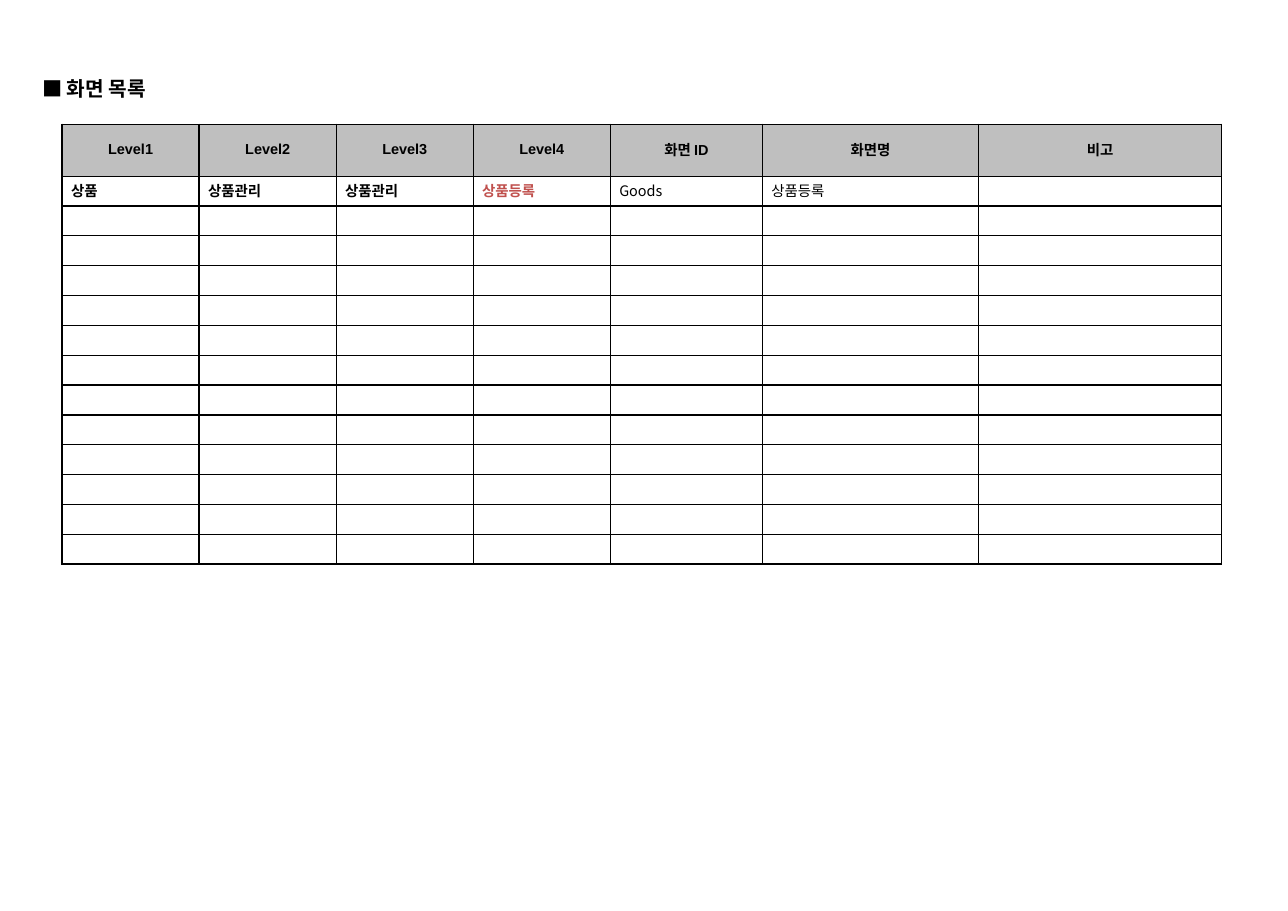
from lxml import etree
from pptx import Presentation
from pptx.dml.color import RGBColor
from pptx.enum.text import MSO_ANCHOR, MSO_AUTO_SIZE, PP_ALIGN
from pptx.oxml.ns import qn
from pptx.util import Pt

LEFT, CENTER = PP_ALIGN.LEFT, PP_ALIGN.CENTER
MIDDLE, NO_AUTOFIT = MSO_ANCHOR.MIDDLE, MSO_AUTO_SIZE.NONE
TITLE_ONLY = 5
KOREAN = "Noto Sans CJK KR"
COLORS = {"text": "000000", "accent": "C0504D", "header": "BFBFBF",
          "body": "FFFFFF", "border": "000000"}


def px(count):
    return count * 914400 // 104


def write(frame, text, size=10, font="Arial", color="text", bold=True, align=LEFT):
    paragraph = frame.paragraphs[0]
    paragraph.alignment = align
    if not text:  # an empty cell still needs its text size
        end = etree.SubElement(paragraph._p, qn("a:endParaRPr"), sz=str(size * 100))
        for script in ("latin", "ea"):
            etree.SubElement(end, qn(f"a:{script}"), typeface=font)
        return
    run = paragraph.add_run()
    run.text = text
    run.font.size = Pt(size)
    run.font.bold = bold
    run.font.name = font
    run.font.color.rgb = RGBColor.from_string(COLORS[color])
    etree.SubElement(run.font._element, qn("a:ea"), typeface=KOREAN)


prs = Presentation()
prs.slide_width, prs.slide_height = px(1287), px(910)
slide = prs.slides.add_slide(prs.slide_layouts[TITLE_ONLY])

# Heading
heading = slide.shapes.title
heading.left, heading.top, heading.width, heading.height = (
    px(29), px(70), px(140), px(36))
frame = heading.text_frame
frame.auto_size = NO_AUTOFIT
frame.word_wrap = False
frame.vertical_anchor = MIDDLE
frame.margin_left = frame.margin_right = px(13)
frame.margin_top = frame.margin_bottom = px(6)
write(frame, "■ 화면 목록", size=14, font=KOREAN)

# Screen list
headers = ["Level1", "Level2", "Level3", "Level4", "화면 ID", "화면명", "비고"]
plain = {"font": KOREAN, "bold": False}
first_screen = [("상품", {}), ("상품관리", {}), ("상품관리", {}),
                ("상품등록", {"color": "accent"}), ("Goods", plain),
                ("상품등록", plain), ("", plain)]
blank_screen = [("", plain)] * len(headers)
rows = [[(header, {"align": CENTER}) for header in headers],
        first_screen] + [blank_screen] * 12
column_widths = [137, 137, 137, 137, 152, 216, 243]
row_heights = [52] + [26] * 13

screen_list = slide.shapes.add_table(
    len(rows), len(headers), px(62), px(124),
    px(sum(column_widths)), px(sum(row_heights))).table
for column, width in zip(screen_list.columns, column_widths):
    column.width = px(width)
for row, height in zip(screen_list.rows, row_heights):
    row.height = px(height)

for row_index, row in enumerate(rows):
    for column_index, (text, style) in enumerate(row):
        cell = screen_list.cell(row_index, column_index)
        cell.vertical_anchor = MIDDLE
        cell.margin_left = cell.margin_right = px(9)
        cell.margin_top, cell.margin_bottom = px(4), px(5)
        cell.fill.solid()
        cell.fill.fore_color.rgb = RGBColor.from_string(
            COLORS["body" if row_index else "header"])
        write(cell.text_frame, text, **style)

        # Cell borders
        properties = cell._tc.get_or_add_tcPr()
        for position, side in enumerate(("lnL", "lnR", "lnT", "lnB")):
            line = etree.Element(qn(f"a:{side}"), w=str(Pt(1)))
            fill = etree.SubElement(line, qn("a:solidFill"))
            etree.SubElement(fill, qn("a:srgbClr"), val=COLORS["border"])
            properties.insert(position, line)

prs.save("out.pptx")
